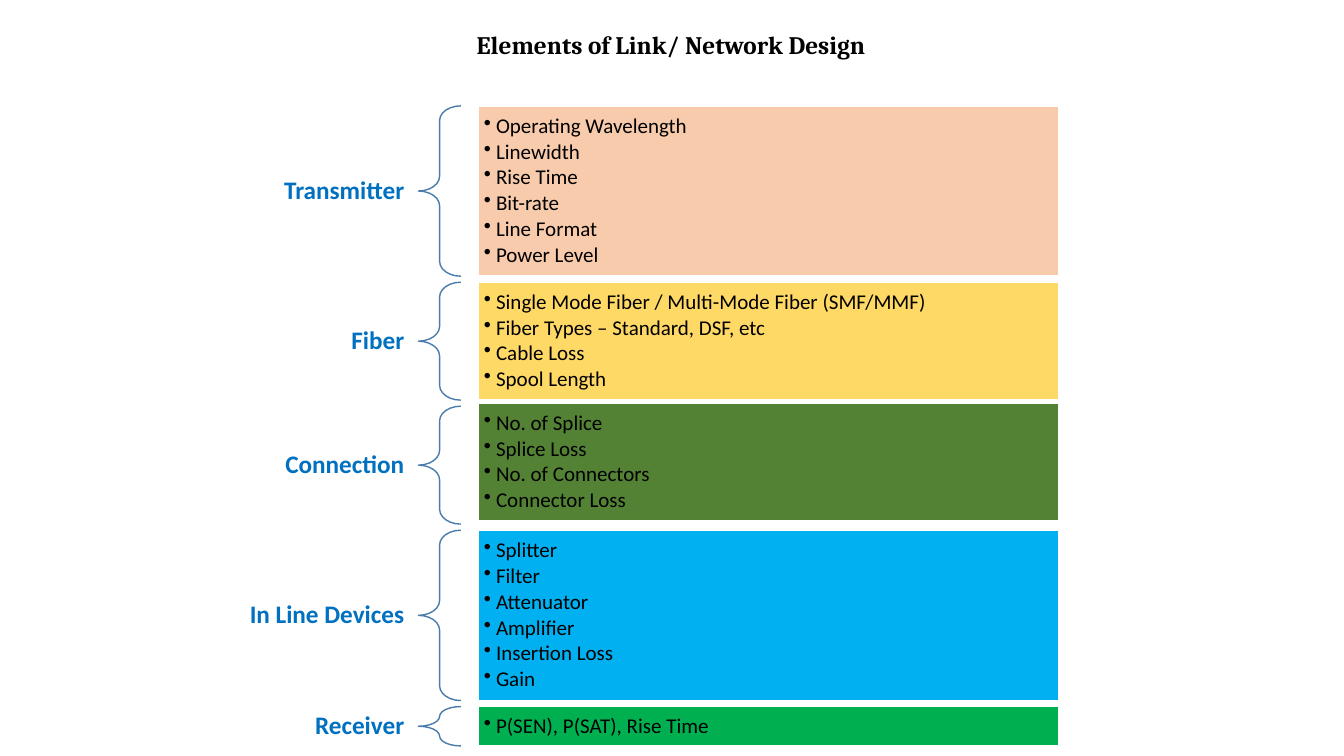
import dataclasses

import pptx
import pptx.dml.color
import pptx.enum.shapes
import pptx.enum.text
import pptx.oxml
import pptx.oxml.ns
import pptx.shapes.autoshape
import pptx.slide
import pptx.text.text
import pptx.util

Inches = pptx.util.Inches
Pt = pptx.util.Pt
Shapes = pptx.enum.shapes.MSO_SHAPE
Align = pptx.enum.text.PP_ALIGN
Anchor = pptx.enum.text.MSO_ANCHOR

FIRST_TOP, GAP = 1.05, 0.06
ITEM_HEIGHT, PANEL_PADDING = 0.26, 0.13
LABEL_LEFT, LABEL_WIDTH, LABEL_HEIGHT = 2.03, 2.12, 0.38
BRACE_LEFT, BRACE_WIDTH = 4.15, 0.42
PANEL_LEFT, PANEL_WIDTH = 4.74, 5.76


@dataclasses.dataclass
class Stage:
    label: str
    fill: str
    items: list[str]
    panel_shift: float = 0

    @property
    def height(self) -> float:
        return ITEM_HEIGHT * len(self.items) + PANEL_PADDING


STAGES = [
    Stage("Transmitter", "F8CBAD", ["Operating Wavelength", "Linewidth", "Rise Time",
                                    "Bit-rate", "Line Format", "Power Level"]),
    Stage("Fiber", "FFD966", ["Single Mode Fiber / Multi-Mode Fiber (SMF/MMF)",
                              "Fiber Types – Standard, DSF, etc",
                              "Cable Loss", "Spool Length"]),
    Stage("Connection", "548235", ["No. of Splice", "Splice Loss",
                                   "No. of Connectors", "Connector Loss"], -0.03),
    Stage("In Line Devices", "00B0F0", ["Splitter", "Filter", "Attenuator",
                                        "Amplifier", "Insertion Loss", "Gain"]),
    Stage("Receiver", "00B050", ["P(SEN), P(SAT), Rise Time"]),
]

TITLE_FONT = {"name": "Cambria", "size": Pt(18), "bold": True}
LABEL_FONT = {"name": "Calibri", "size": Pt(18), "bold": True}
ITEM_FONT = {"name": "Calibri", "size": Pt(15), "bold": False}
LABEL_FRAME = {"word_wrap": True, "vertical_anchor": Anchor.MIDDLE,
               "margin_left": Inches(0.14), "margin_right": Inches(0.14),
               "margin_top": Inches(0.05), "margin_bottom": Inches(0.05)}
PANEL_FRAME = {"word_wrap": True, "vertical_anchor": Anchor.MIDDLE,
               "margin_left": Inches(0.06), "margin_right": Inches(0.06),
               "margin_top": Inches(0.06), "margin_bottom": Inches(0.06)}
LABEL_PARAGRAPH = {"alignment": Align.RIGHT, "line_spacing": 0.9}
ITEM_PARAGRAPH = {"alignment": Align.LEFT, "level": 1, "line_spacing": 0.9,
                  "space_after": Pt(2.25)}


def color(hex_value: str) -> pptx.dml.color.RGBColor:
    return pptx.dml.color.RGBColor.from_string(hex_value)


def apply(target: object, values: dict) -> None:
    """Set each format value as an attribute of the target."""
    for name, value in values.items():
        setattr(target, name, value)


def write(paragraph: pptx.text.text._Paragraph, text: str, font: dict,
          hex_value: str) -> None:
    run = paragraph.add_run()
    run.text = text
    apply(run.font, font)
    run.font.color.rgb = color(hex_value)


def add_bullet(paragraph: pptx.text.text._Paragraph) -> None:
    properties = paragraph._p.get_or_add_pPr()
    properties.set("marL", str(Inches(0.12)))
    properties.set("indent", str(-Inches(0.12)))
    bullet = pptx.oxml.parse_xml(f'<a:buChar {pptx.oxml.ns.nsdecls("a")} char="•"/>')
    properties.append(bullet)


def add_outlined(slide: pptx.slide.Slide, kind: Shapes, left: float, top: float,
                 width: float, height: float, line: str) -> pptx.shapes.autoshape.Shape:
    shape = slide.shapes.add_shape(kind, Inches(left), Inches(top),
                                   Inches(width), Inches(height))
    shape.shadow.inherit = False
    shape.line.color.rgb = color(line)
    shape.line.width = Pt(1)
    return shape


def add_title(slide: pptx.slide.Slide) -> None:
    title = slide.shapes.add_textbox(Inches(4.63), Inches(0.24), Inches(4.27), Inches(0.4))
    title.text_frame.word_wrap = False
    write(title.text_frame.paragraphs[0], "Elements of Link/ Network Design",
          TITLE_FONT, "000000")


def add_label(slide: pptx.slide.Slide, stage: Stage, top: float) -> None:
    label_top = top + (stage.height - LABEL_HEIGHT) / 2
    label = slide.shapes.add_textbox(Inches(LABEL_LEFT), Inches(label_top),
                                     Inches(LABEL_WIDTH), Inches(LABEL_HEIGHT))
    apply(label.text_frame, LABEL_FRAME)
    caption = label.text_frame.paragraphs[0]
    apply(caption, LABEL_PARAGRAPH)
    write(caption, stage.label, LABEL_FONT, "0070C0")


def add_brace(slide: pptx.slide.Slide, stage: Stage, top: float) -> None:
    brace = add_outlined(slide, Shapes.LEFT_BRACE, BRACE_LEFT, top,
                         BRACE_WIDTH, stage.height, "497CAB")
    brace.fill.background()
    brace.adjustments[0] = 0.35
    brace.adjustments[1] = 0.5


def add_panel(slide: pptx.slide.Slide, stage: Stage, top: float) -> None:
    panel = add_outlined(slide, Shapes.RECTANGLE, PANEL_LEFT, top + stage.panel_shift,
                         PANEL_WIDTH, stage.height, "FFFFFF")
    panel.fill.solid()
    panel.fill.fore_color.rgb = color(stage.fill)
    frame = panel.text_frame
    apply(frame, PANEL_FRAME)
    for index, item in enumerate(stage.items):
        entry = frame.add_paragraph() if index else frame.paragraphs[0]
        apply(entry, ITEM_PARAGRAPH)
        add_bullet(entry)
        write(entry, item, ITEM_FONT, "000000")


def main() -> None:
    presentation = pptx.Presentation()
    presentation.slide_width = Inches(13.33)
    presentation.slide_height = Inches(7.5)
    slide = presentation.slides.add_slide(presentation.slide_layouts[6])
    add_title(slide)
    top = FIRST_TOP
    for stage in STAGES:
        add_label(slide, stage, top)
        add_brace(slide, stage, top)
        add_panel(slide, stage, top)
        top += stage.height + GAP
    presentation.save("out.pptx")


if __name__ == "__main__":
    main()
